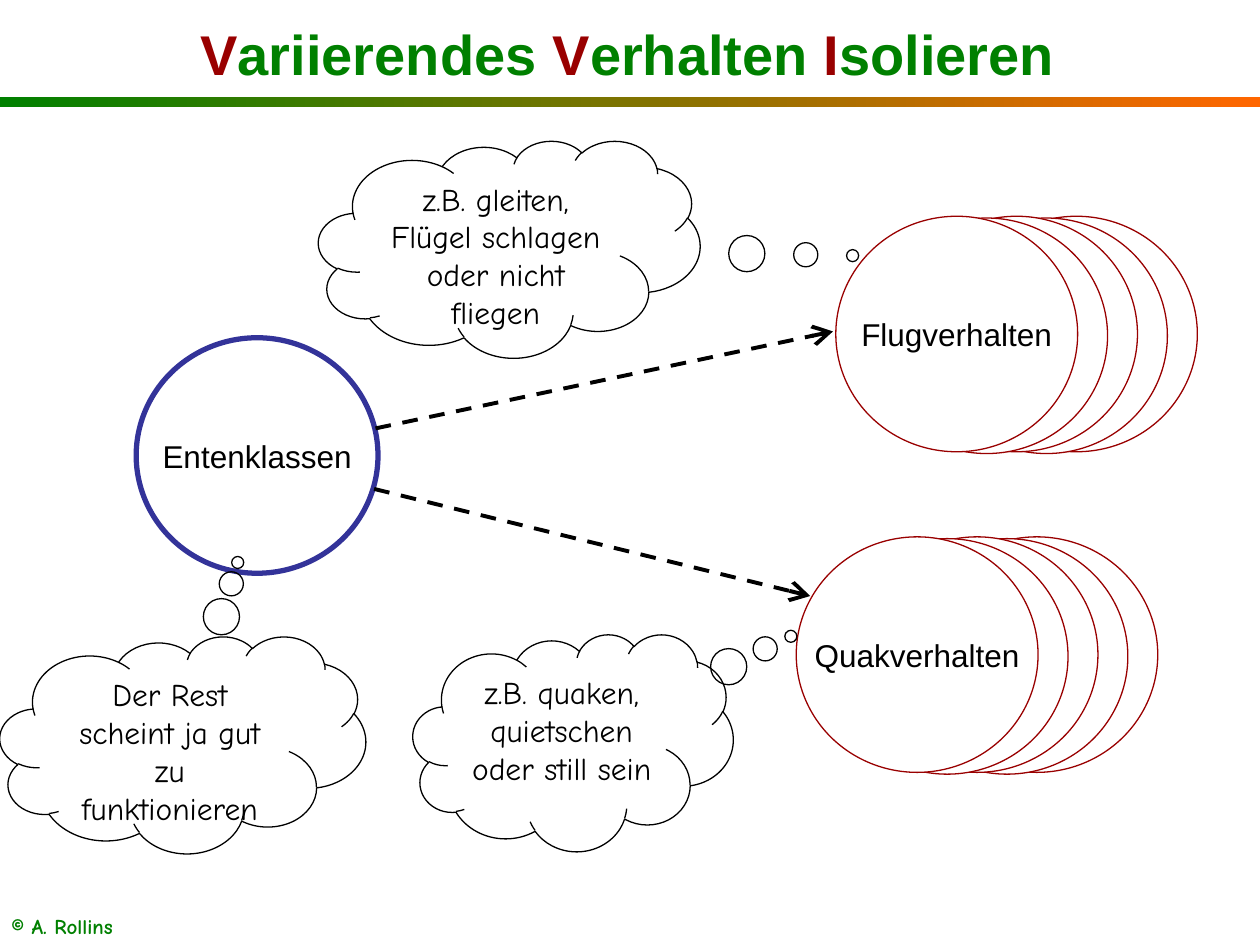
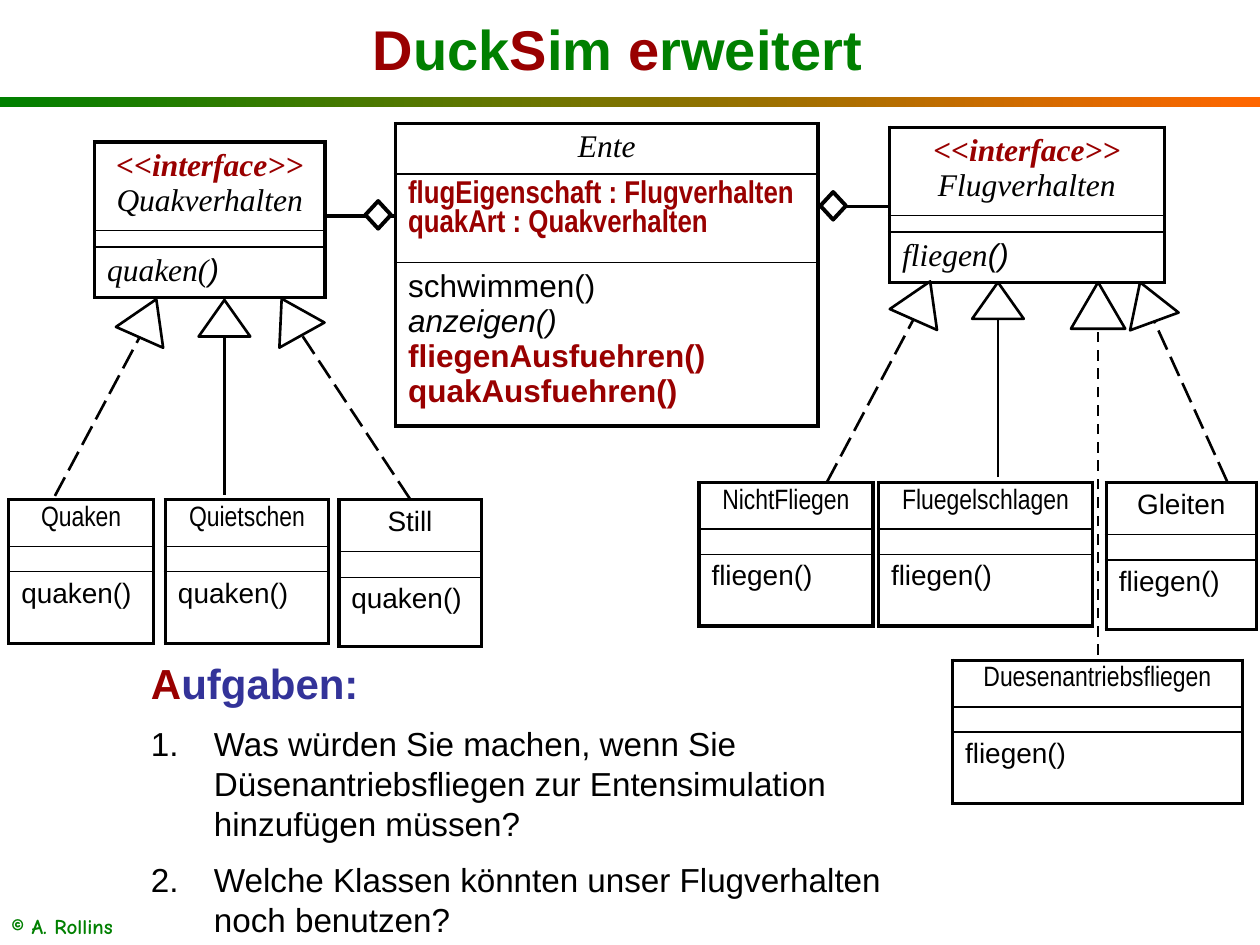
from dataclasses import dataclass
from math import cos, radians, sin

from lxml import etree
from pptx import Presentation
from pptx.dml.color import RGBColor
from pptx.enum.dml import MSO_LINE
from pptx.enum.shapes import MSO_CONNECTOR, MSO_SHAPE
from pptx.enum.text import MSO_ANCHOR, PP_ALIGN
from pptx.oxml.ns import qn
from pptx.util import Pt

LEFT, CENTER = PP_ALIGN.LEFT, PP_ALIGN.CENTER
TOP, MIDDLE = MSO_ANCHOR.TOP, MSO_ANCHOR.MIDDLE
RECTANGLE, OVAL, CLOUD = MSO_SHAPE.RECTANGLE, MSO_SHAPE.OVAL, MSO_SHAPE.CLOUD_CALLOUT
TRIANGLE, DIAMOND = MSO_SHAPE.ISOSCELES_TRIANGLE, MSO_SHAPE.DIAMOND
STRAIGHT = MSO_CONNECTOR.STRAIGHT
DASH, LONG_DASH = MSO_LINE.DASH, MSO_LINE.LONG_DASH
TITLE_ONLY = 5


@dataclass(frozen=True)
class Theme:
    green: str = "008000"
    orange: str = "FF6600"
    red: str = "990000"
    blue: str = "333399"
    black: str = "000000"
    white: str = "FFFFFF"
    sans: str = "Arial"
    narrow: str = "Arial Narrow"
    serif: str = "Times New Roman"
    comic: str = "Comic Neue"
    title: int = 32
    heading: int = 24
    task: int = 19
    body: int = 18
    label: int = 16
    footer: int = 12
    thin: float = 0.75
    divider: float = 1
    inherit: float = 1.5
    frame: float = 2.25
    thick: float = 3


THEME = Theme()


@dataclass(frozen=True)
class Span:
    text: str
    size: int = THEME.body
    font: str = THEME.sans
    color: str = THEME.black
    bold: bool = False
    italic: bool = False


def rgb(color):
    return RGBColor.from_string(color)


def points(*values):
    return [Pt(value) for value in values]


def write(para, spans, align=LEFT):
    para.alignment = align
    for index, span in enumerate(spans):
        if index and spans[index - 1].text.endswith(">>"):
            para.add_line_break()
        run = para.add_run()
        run.text = span.text
        run.font.size = Pt(span.size)
        run.font.name = span.font
        run.font.color.rgb = rgb(span.color)
        run.font.bold = span.bold
        run.font.italic = span.italic


def write_lines(frame, lines, align=LEFT):
    """Fill a text frame with one paragraph for each list of spans."""
    for index, spans in enumerate(lines):
        para = frame.add_paragraph() if index else frame.paragraphs[0]
        write(para, spans, align)


def set_insets(frame, left, top, right, bottom):
    frame.margin_left, frame.margin_top = points(left, top)
    frame.margin_right, frame.margin_bottom = points(right, bottom)


def add_outline(page, kind, place, color, weight, fill=None):
    shape = page.shapes.add_shape(kind, *points(*place))
    shape.shadow.inherit = False
    if fill:
        shape.fill.solid()
        shape.fill.fore_color.rgb = rgb(fill)
    else:
        shape.fill.background()
    shape.line.color.rgb = rgb(color)
    shape.line.width = Pt(weight)
    return shape


def add_line(page, start, end, weight, dash=None, arrow=False):
    line = page.shapes.add_connector(STRAIGHT, *points(*start, *end))
    line.line.color.rgb = rgb(THEME.black)
    line.line.width = Pt(weight)
    if dash:
        line.line.dash_style = dash
    properties = line._element.spPr
    if arrow:
        etree.SubElement(properties.find(qn("a:ln")), qn("a:tailEnd"),
                         type="arrow", w="lg", len="lg")
    etree.SubElement(properties, qn("a:effectLst"))


def add_page(deck, title_place, title_parts):
    """Add a slide with band, footer and a title of (red initial, green rest) pairs."""
    page = deck.slides.add_slide(deck.slide_layouts[TITLE_ONLY])

    band = page.shapes.add_shape(RECTANGLE, *points(0, 55.5, 720, 5.5))
    band.shadow.inherit = False
    band.line.fill.background()
    band.fill.gradient()
    band.fill.gradient_angle = 0
    for stop, color in zip(band.fill.gradient_stops, (THEME.green, THEME.orange)):
        stop.color.rgb = rgb(color)

    footer = page.shapes.add_textbox(*points(6.5, 518.5, 108, 18)).text_frame
    footer.word_wrap = True
    set_insets(footer, 0, 3.6, 7.2, 0)
    write(footer.paragraphs[0],
          [Span("© A. Rollins", THEME.footer, THEME.comic, THEME.green, True)])

    title = page.shapes.title
    title.left, title.top, title.width, title.height = points(*title_place)
    title.text_frame.vertical_anchor = MIDDLE
    spans = [Span(text, THEME.title, color=color, bold=True)
             for pair in title_parts
             for text, color in zip(pair, (THEME.red, THEME.green))]
    write(title.text_frame.paragraphs[0], spans, CENTER)
    return page


def add_circle(page, left, top, color, weight, label="", fill=None):
    circle = add_outline(page, OVAL, (left, top, 138.2, 134.6), color, weight, fill)
    if label:
        circle.text_frame.word_wrap = False
        circle.text_frame.vertical_anchor = MIDDLE
        write(circle.text_frame.paragraphs[0], [Span(label)], CENTER)


def add_circle_stack(page, left, top, label):
    """Stack five circles from back to front, the front one at left, top."""
    for depth in range(4, -1, -1):
        add_circle(page, left + depth * 17.1, top + depth % 2, THEME.red, THEME.thin,
                   "" if depth else label, THEME.white)


def add_thought(page, place, tail, text):
    cloud = add_outline(page, CLOUD, place, THEME.black, THEME.thin)
    cloud.adjustments[0], cloud.adjustments[1] = tail
    cloud.text_frame.word_wrap = True
    cloud.text_frame.vertical_anchor = TOP
    write(cloud.text_frame.paragraphs[0], [Span(text, font=THEME.comic)], CENTER)


def set_borders(cell, top, bottom):
    properties = cell._tc.get_or_add_tcPr()
    weights = {"L": THEME.frame, "R": THEME.frame, "T": top, "B": bottom}
    for side, weight in weights.items():
        line = etree.SubElement(properties, qn(f"a:ln{side}"), w=str(Pt(weight)))
        fill = etree.SubElement(line, qn("a:solidFill"))
        etree.SubElement(fill, qn("a:srgbClr"), val=THEME.black)


def add_class_box(page, left, top, width, heights, name, fields, methods):
    """Draw a UML class: name, fields and methods, each a list of lines of spans."""
    place = points(left, top, width, sum(heights))
    table = page.shapes.add_table(3, 1, *place).table
    table.first_row = table.horz_banding = False
    for index, (height, lines) in enumerate(zip(heights, (name, fields, methods))):
        table.rows[index].height = Pt(height)
        cell = table.cell(index, 0)
        set_borders(cell, THEME.divider if index else THEME.frame,
                    THEME.frame if index == 2 else THEME.divider)
        cell.fill.solid()
        cell.fill.fore_color.rgb = rgb(THEME.white)
        if lines:
            write_lines(cell.text_frame, lines, LEFT if index else CENTER)
        else:
            set_insets(cell, 0, 0, 0, 0)
            para = cell.text_frame.paragraphs[0]
            etree.SubElement(para._p, qn("a:endParaRPr"), sz="400")


def add_interface(page, left, top, width, name, method, bracket):
    serif = {"font": THEME.serif, "italic": True}
    heading = [Span("<<interface>>", color=THEME.red, bold=True, **serif),
               Span(name, **serif)]
    add_class_box(page, left, top, width, (50.4, 9.4, 28.8), [heading], [],
                  [[Span(method, **serif), Span(bracket, italic=True)]])


def add_behaviour(page, left, top, width, name, method, font=THEME.narrow):
    heights = (26.6, 14.4, 41) if font == THEME.narrow else (29.5, 14.8, 39.6)
    add_class_box(page, left, top, width, heights, [[Span(name, THEME.label, font)]],
                  [], [[Span(method, THEME.label)]])


def add_inheritance(page, foot, head, angle=0, dash=None):
    """Draw a line from foot to the base of a hollow triangle turned by angle."""
    left, top, width, height = head
    turn = radians(angle)
    base = (left + width / 2 - sin(turn) * height / 2,
            top + height / 2 + cos(turn) * height / 2)
    add_line(page, foot, base, THEME.inherit, dash)
    triangle = add_outline(page, TRIANGLE, head, THEME.black, THEME.inherit, THEME.white)
    triangle.rotation = angle


def add_aggregation(page, start, end, diamond_left):
    add_line(page, start, end, THEME.frame)
    add_outline(page, DIAMOND, (diamond_left, start[1] - 8.3, 14.6, 15.8),
                THEME.black, THEME.frame, THEME.white)


def add_tasks(page, place, heading, tasks):
    frame = page.shapes.add_textbox(*points(*place)).text_frame
    frame.word_wrap = True
    write_lines(frame, [heading] + [[Span(task, THEME.task)] for task in tasks])
    for para in frame.paragraphs[1:]:
        para.space_before = Pt(9)
        properties = para._p.get_or_add_pPr()
        properties.set("marL", str(Pt(36)))
        properties.set("indent", str(Pt(-36)))
        etree.SubElement(properties, qn("a:buAutoNum"), type="arabicPeriod")


def build_isolation(deck):
    page = add_page(deck, (52.5, 0, 612, 60.5),
                    [("V", "ariierendes "), ("V", "erhalten "), ("I", "solieren")])
    add_circle(page, 77.8, 193, THEME.blue, THEME.thick, "Entenklassen")
    add_circle_stack(page, 455, 306.8, "Quakverhalten")
    add_circle_stack(page, 477.6, 123.6, "Flugverhalten")
    for start, end in (((214.6, 244.8), (476, 189.4)), ((213.8, 279.4), (463, 340.6))):
        add_line(page, start, end, THEME.frame, DASH, arrow=True)
    add_thought(page, (236, 362.4, 183, 124), (0.68, -0.49),
                "z.B. quaken, quietschen oder still sein")
    add_thought(page, (182, 80.4, 218, 124), (0.9, 0.03),
                "z.B. gleiten, Flügel schlagen oder nicht fliegen")
    add_thought(page, (0, 363.6, 209, 124), (0.15, -0.84),
                "Der Rest scheint ja gut zu funktionieren")


def build_class_diagram(deck):
    page = add_page(deck, (46.8, 0, 612, 55.4),
                    [("D", "uck"), ("S", "im "), ("e", "rweitert")])

    add_class_box(
        page, 226, 70.6, 241.4, (28.8, 50.4, 93.6),
        [[Span("Ente", font=THEME.serif, italic=True)]],
        [[Span(text, font=THEME.narrow, color=THEME.red, bold=True)]
         for text in ("flugEigenschaft : Flugverhalten", "quakArt : Quakverhalten")],
        [[Span("schwimmen()")], [Span("anzeigen()", italic=True)]]
        + [[Span(text, color=THEME.red, bold=True)]
           for text in ("fliegenAusfuehren()", "quakAusfuehren()")])
    add_interface(page, 508.3, 72.7, 157, "Flugverhalten", "fliegen", "()")
    add_interface(page, 54, 81.2, 131.8, "Quakverhalten", "quaken(", ")")
    add_aggregation(page, (508, 118), (467, 118), 468.8)
    add_aggregation(page, (185.2, 123.2), (225.6, 123.2), 208.8)

    for left, top, width, name, method in (
            (5, 285.6, 82.8, "Quaken", "quaken()"),
            (94.5, 285.6, 93.4, "Quietschen", "quaken()"),
            (399.4, 275.8, 99.4, "NichtFliegen", "fliegen()"),
            (502, 275.8, 122.4, "Fluegelschlagen", "fliegen()"),
            (544.3, 377.3, 165.6, "Duesenantriebsfliegen", "fliegen()")):
        add_behaviour(page, left, top, width, name, method)
    add_behaviour(page, 193.6, 285.6, 81.4, "Still", "quaken()", THEME.sans)
    add_behaviour(page, 632.2, 275.8, 85.7, "Gleiten", "fliegen()", THEME.sans)

    slanted, upright = (29.5, 23.8), (29.5, 20.9)
    for foot, corner, size, angle, dash in (
            ((31.4, 283.4), (69.8, 170), slanted, 23.8, LONG_DASH),
            ((128.25, 282.8), (113.5, 171.4), upright, 0, None),
            ((234.2, 285), (152, 169.2), slanted, 330.9, LONG_DASH),
            ((472.6, 275.4), (512, 159.8), slanted, 23.8, LONG_DASH),
            ((570.25, 272.6), (555.5, 161.3), upright, 0, None),
            ((627.5, 374.3), (612, 161.3), (31, 26.6), 0, DASH),
            ((701.2, 275), (640.8, 160.6), slanted, 340, LONG_DASH)):
        add_inheritance(page, foot, corner + size, angle, dash)

    add_tasks(page, (79.2, 372.2, 456.5, 166),
              [Span("A", THEME.heading, color=THEME.red, bold=True),
               Span("ufgaben:", THEME.heading, color=THEME.blue, bold=True)],
              ["Was würden Sie machen, wenn Sie Düsenantriebsfliegen zur "
               "Entensimulation hinzufügen müssen?",
               "Welche Klassen könnten unser Flugverhalten noch benutzen?"])


def main():
    deck = Presentation()
    deck.slide_width, deck.slide_height = points(720, 540)
    build_isolation(deck)
    build_class_diagram(deck)
    deck.save("out.pptx")


if __name__ == "__main__":
    main()
